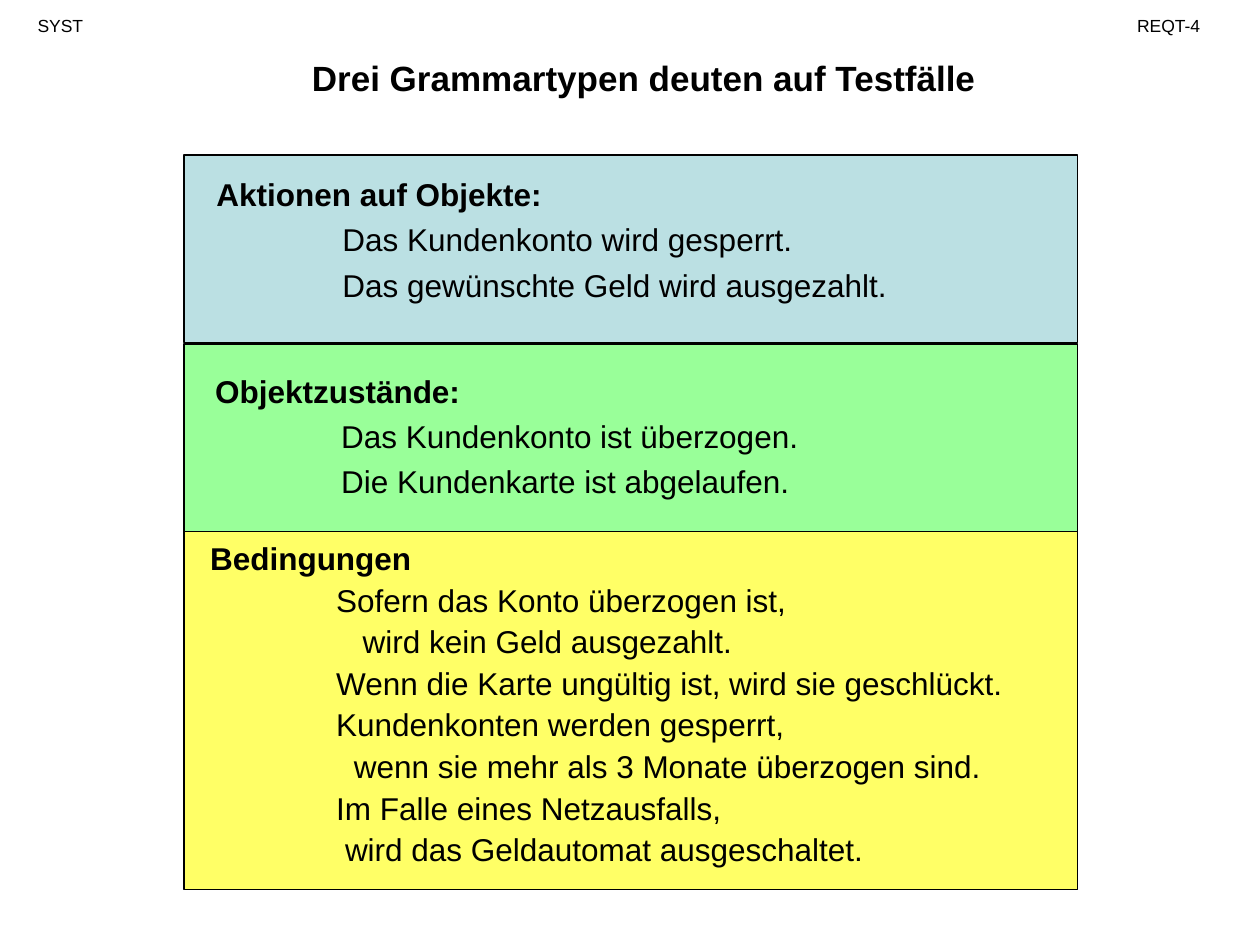
from dataclasses import dataclass

from pptx import Presentation
from pptx.dml.color import RGBColor
from pptx.enum.shapes import MSO_SHAPE as Shape
from pptx.enum.text import MSO_ANCHOR as Anchor, MSO_AUTO_SIZE as AutoSize, PP_ALIGN as Align
from pptx.slide import Slide
from pptx.text.text import TextFrame
from pptx.util import Inches, Pt


@dataclass(frozen=True)
class Theme:
    font: str = "Arial"
    ink: str = "000000"
    blue: str = "BBE0E3"
    green: str = "99FF99"
    yellow: str = "FFFF66"
    title_size: int = 20
    body_size: int = 18
    label_size: int = 10


@dataclass(frozen=True)
class Line:
    text: str
    extra_spaces: int = 0


@dataclass(frozen=True)
class Panel:
    fill: str
    top: float
    height: float
    text_left: float
    text_top: float
    text_height: float
    spacing: float
    heading: str
    lines: tuple[Line, ...]


@dataclass(frozen=True)
class Label:
    text: str
    left: float
    width: float
    align: Align


THEME = Theme()
PANEL_LEFT, PANEL_WIDTH = 1.46, 7.09
TEXT_WIDTH = 6.8
LINE_INDENT, SPACE_WIDTH = 1.0, 0.07

PANELS = (
    Panel(THEME.blue, 1.23, 1.49, 1.62, 1.28, 1.18, 1.2, "Aktionen auf Objekte:", (
        Line("Das Kundenkonto wird gesperrt."),
        Line("Das gewünschte Geld wird ausgezahlt."),
    )),
    Panel(THEME.green, 2.73, 1.5, 1.61, 2.84, 1.18, 1.2, "Objektzustände:", (
        Line("Das Kundenkonto ist überzogen."),
        Line("Die Kundenkarte ist abgelaufen."),
    )),
    Panel(THEME.yellow, 4.22, 2.84, 1.57, 4.2, 2.74, 1.1, "Bedingungen", (
        Line("Sofern das Konto überzogen ist,"),
        Line("wird kein Geld ausgezahlt.", 3),
        Line("Wenn die Karte ungültig ist, wird sie geschlückt."),
        Line("Kundenkonten werden gesperrt,"),
        Line("wenn sie mehr als 3 Monate überzogen sind.", 2),
        Line("Im Falle eines Netzausfalls,"),
        Line("wird das Geldautomat ausgeschaltet.", 1),
    )),
)

LABELS = (
    Label("SYST", 0.2, 0.92, Align.LEFT),
    Label("REQT-4", 8.86, 0.83, Align.CENTER),
)


def write_text(frame: TextFrame, text: str, size: int, bold: bool = False,
               align: Align = Align.LEFT) -> None:
    frame.text = text
    frame.word_wrap = True
    frame.auto_size = AutoSize.NONE
    frame.vertical_anchor = Anchor.TOP
    for para in frame.paragraphs:
        para.alignment = align
        for span in para.runs:
            span.font.name = THEME.font
            span.font.size = Pt(size)
            span.font.bold = bold
            span.font.color.rgb = RGBColor.from_string(THEME.ink)


def add_title(page: Slide, text: str) -> None:
    title = page.shapes.title
    title.left, title.top = Inches(1.36), Inches(0.4)
    title.width, title.height = Inches(7.5), Inches(0.44)
    write_text(title.text_frame, text, THEME.title_size, True, Align.CENTER)


def add_label(page: Slide, label: Label) -> None:
    box = page.shapes.add_textbox(
        Inches(label.left), Inches(0.07), Inches(label.width), Inches(0.27))
    write_text(box.text_frame, label.text, THEME.label_size, align=label.align)


def add_panel(page: Slide, panel: Panel) -> None:
    field = page.shapes.add_shape(
        Shape.RECTANGLE, Inches(PANEL_LEFT), Inches(panel.top),
        Inches(PANEL_WIDTH), Inches(panel.height))
    field.shadow.inherit = False
    field.fill.solid()
    field.fill.fore_color.rgb = RGBColor.from_string(panel.fill)
    field.line.color.rgb = RGBColor.from_string(THEME.ink)
    field.line.width = Pt(0.75)

    box = page.shapes.add_textbox(
        Inches(panel.text_left), Inches(panel.text_top),
        Inches(TEXT_WIDTH), Inches(panel.text_height))
    text = "\n".join((panel.heading, *(line.text for line in panel.lines)))
    write_text(box.text_frame, text, THEME.body_size)

    heading, *rest = box.text_frame.paragraphs
    heading.runs[0].font.bold = True
    for para in box.text_frame.paragraphs:
        para.line_spacing = panel.spacing
    for para, line in zip(rest, panel.lines):
        indent = Inches(LINE_INDENT + line.extra_spaces * SPACE_WIDTH)
        para._p.get_or_add_pPr().set("marL", str(indent))


def main() -> None:
    deck = Presentation()
    deck.slide_width, deck.slide_height = Inches(10), Inches(7.5)
    page = deck.slides.add_slide(deck.slide_layouts[5])
    add_title(page, "Drei Grammartypen deuten auf Testfälle")
    for label in LABELS:
        add_label(page, label)
    for panel in PANELS:
        add_panel(page, panel)
    deck.save("out.pptx")


if __name__ == "__main__":
    main()
